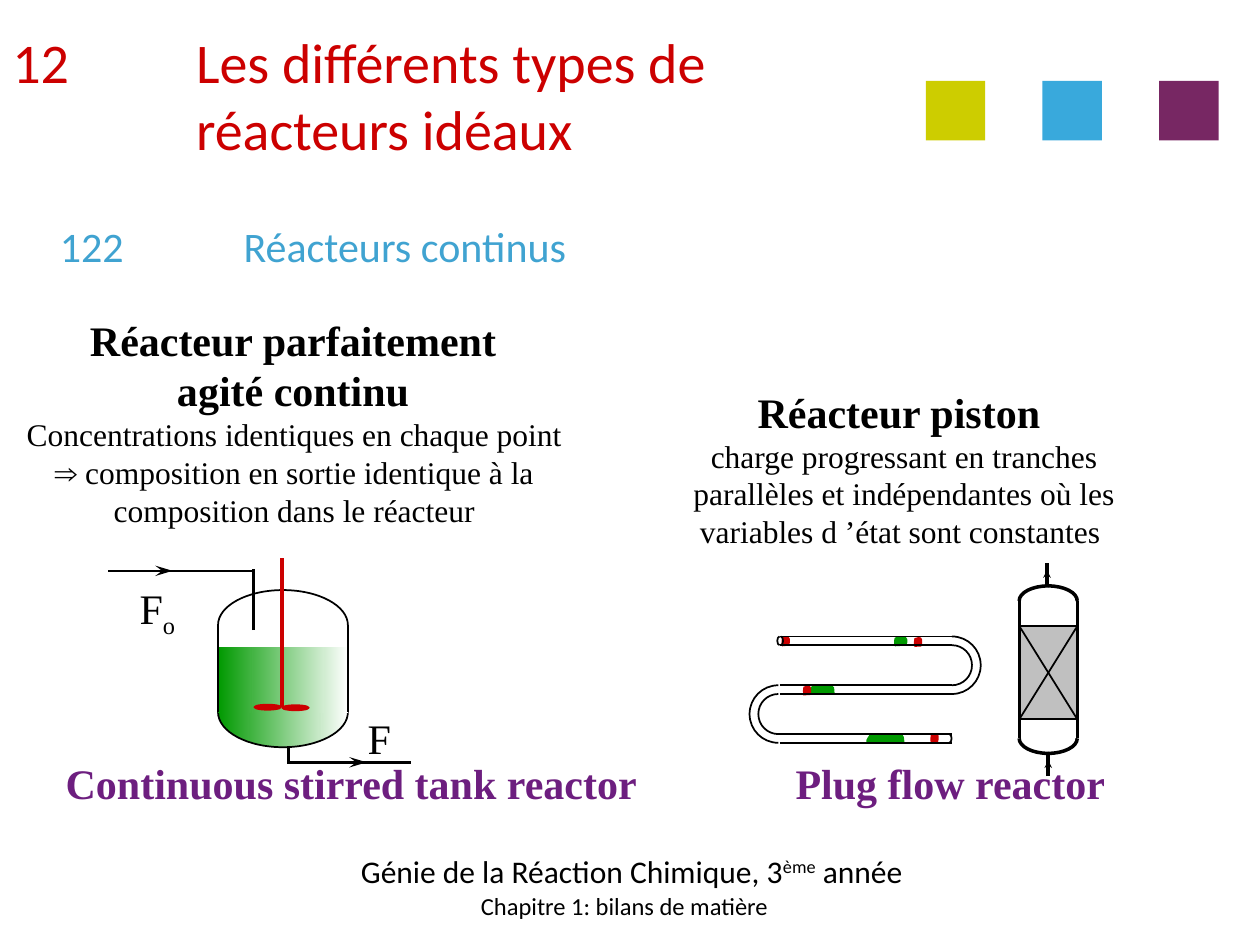
from math import cos, radians, sin, tan

from lxml.etree import SubElement
from pptx import Presentation
from pptx.dml.color import RGBColor
from pptx.enum.shapes import MSO_CONNECTOR, MSO_SHAPE
from pptx.enum.text import MSO_ANCHOR, MSO_AUTO_SIZE, PP_ALIGN
from pptx.oxml.ns import qn
from pptx.util import Pt

BLACK = RGBColor(0x00, 0x00, 0x00)
WHITE = RGBColor(0xFF, 0xFF, 0xFF)
RED = RGBColor(0xCC, 0x00, 0x00)
GREEN = RGBColor(0x00, 0x99, 0x00)
GREY = RGBColor(0xC0, 0xC0, 0xC0)
LIME = RGBColor(0xCD, 0xCD, 0x00)
BLUE = RGBColor(0x39, 0xA9, 0xDC)
SUBTITLE_BLUE = RGBColor(0x40, 0xA3, 0xD1)
PLUM = RGBColor(0x77, 0x27, 0x63)
PURPLE = RGBColor(0x6D, 0x1E, 0x7F)
SANS, SERIF = "Calibri", "Times New Roman"

# Cubic curves in a unit box: first point, then control, control, end.
SHORT_SLUG = [(.1, .2), (.05, .3), (0, .7), (.1, .9), (1, .8), (.7, 1), (.85, .6),
              (.92, .1), (.7, 0), (.1, .2)]
LONG_SLUG = [(.1, .3), (.08, .45), (0, .82), (.1, .91), (1, .91), (.49, .91), (.67, .82),
             (.65, 0), (.69, .18), (.1, .3)]


def add_text(paragraph, text, font=SERIF, size=24, color=BLACK, bold=False, baseline=0):
    """Append a run; baseline is the raise or drop in percent."""
    run = paragraph.add_run()
    run.text = text
    run.font.name, run.font.size, run.font.bold = font, Pt(size), bold
    run.font.color.rgb = color
    if baseline:
        run.font._element.set("baseline", str(baseline * 1000))


class Drawing:
    def __init__(self, slide):
        self.slide = slide
        self.shapes = slide.shapes

    def paint(self, shape, fill=None, line=None, width=1, gradient=False):
        shape.shadow.inherit = False
        if gradient:
            shape.fill.gradient()
            shape.fill.gradient_angle = 0
            for stop, color in zip(shape.fill.gradient_stops, (GREEN, WHITE)):
                stop.color.rgb = color
        elif fill is not None:
            shape.fill.solid()
            shape.fill.fore_color.rgb = fill
        else:
            shape.fill.background()
        if line is not None:
            shape.line.color.rgb = line
            shape.line.width = Pt(width)
        else:
            shape.line.fill.background()

    def preset(self, x, y, w, h, kind=MSO_SHAPE.RECTANGLE, **paint):
        self.paint(self.shapes.add_shape(kind, Pt(x), Pt(y), Pt(w), Pt(h)), **paint)

    def curve(self, nodes, close=False, **paint):
        """Cubic curves: a start, then control, control, end for each."""
        nodes = [(Pt(x), Pt(y)) for x, y in nodes]
        builder = self.shapes.build_freeform(*nodes[0])
        builder.add_line_segments(nodes[1:], close=close)
        shape = builder.convert_to_shape()
        segments = list(shape.element.iter(qn("a:lnTo")))
        for i in range(0, len(nodes) - 1, 3):
            first, *others = segments[i:i + 3]
            cubic = first.makeelement(qn("a:cubicBezTo"))
            first.addprevious(cubic)
            for segment in (first, *others):
                cubic.append(segment[0])
                segment.getparent().remove(segment)
        self.paint(shape, **paint)

    def arc(self, cx, cy, rx, ry, start, sweep, **paint):
        """Elliptic arc by quarters; angles in degrees, clockwise from the right."""
        handle = 4 / 3 * tan(radians(90) / 4)
        nodes = [(cos(radians(start)), sin(radians(start)))]
        for end in range(start + 90, start + sweep + 1, 90):
            x1, y1 = nodes[-1]
            x2, y2 = cos(radians(end)), sin(radians(end))
            nodes += [(x1 - handle * y1, y1 + handle * x1),
                      (x2 + handle * y2, y2 - handle * x2), (x2, y2)]
        self.curve([(cx + rx * u, cy + ry * v) for u, v in nodes], line=BLACK, **paint)

    def slug(self, x, y, w, h, color, profile):
        self.curve([(x + w * u, y + h * v) for u, v in profile], close=True, fill=color)

    def line(self, x1, y1, x2, y2, width=1, color=BLACK, arrow=None):
        """Straight line; arrow holds the width and length of its head."""
        connector = self.shapes.add_connector(
            MSO_CONNECTOR.STRAIGHT, Pt(x1), Pt(y1), Pt(x2), Pt(y2))
        connector.line.color.rgb = color
        connector.line.width = Pt(width)
        properties = connector.element.spPr
        if arrow:
            SubElement(properties.find(qn("a:ln")), qn("a:tailEnd"), type="stealth",
                       w=arrow[0], len=arrow[1])
        SubElement(properties, qn("a:effectLst"))

    def text(self, x, y, w, h, paragraphs, align=PP_ALIGN.CENTER, wrap=False,
             middle=False, hanging=None, bottom=3.6):
        """Each paragraph is a list of (text, format); hanging is a dict of number attributes."""
        frame = self.shapes.add_textbox(Pt(x), Pt(y), Pt(w), Pt(h)).text_frame
        frame.word_wrap = wrap
        frame.auto_size = MSO_AUTO_SIZE.NONE if middle else MSO_AUTO_SIZE.SHAPE_TO_FIT_TEXT
        frame.vertical_anchor = MSO_ANCHOR.MIDDLE if middle else MSO_ANCHOR.TOP
        frame.margin_bottom = Pt(bottom)
        for i, runs in enumerate(paragraphs):
            paragraph = frame.add_paragraph() if i else frame.paragraphs[0]
            paragraph.alignment = align
            if hanging is not None:
                self.hang(paragraph, hanging)
            for text, style in runs:
                add_text(paragraph, text, **style)
        return frame

    def hang(self, paragraph, number):
        properties = paragraph._p.get_or_add_pPr()
        properties.set("marL", str(Pt(105)))
        properties.set("indent", str(Pt(-105)))
        if number:
            SubElement(properties, qn("a:buAutoNum"), **number)
        else:
            SubElement(properties, qn("a:buNone"))
        tabs = SubElement(properties, qn("a:tabLst"))
        SubElement(tabs, qn("a:tab"), pos=str(Pt(60)), algn="l")


def draw_frame(d):
    footer = {"font": SANS, "size": 18}
    d.text(198, 479.5, 330, 36, [[("Génie de la Réaction Chimique, 3", footer),
                                  ("ème", {**footer, "baseline": 30}),
                                  (" année ", footer)]], middle=True)
    d.text(283.5, 499.7, 150, 36, [[("Chapitre 1: bilans de matière ",
                                     {"font": SANS, "size": 14})]], middle=True)
    for i, color in enumerate((LIME, BLUE, PLUM)):
        d.preset(529 + 66.7 * i, 46.2, 34, 34, fill=color)
    d.text(0, 9, 529, 90, [[("Les différents types de \tréacteurs idéaux",
                             {"font": SANS, "size": 32, "color": RED})]],
           PP_ALIGN.LEFT, wrap=True, middle=True,
           hanging={"type": "arabicPlain", "startAt": "12"})
    d.text(27.2, 111.6, 314.6, 90, [[("122\tRéacteurs continus",
                                      {"font": SANS, "color": SUBTITLE_BLUE})]],
           PP_ALIGN.LEFT, wrap=True, middle=True, hanging={}, bottom=36)


def draw_tank(d):
    center, left, right, radius = 161.7, 124.6, 198.8, 37.1
    d.preset(186.5, 375.1, 155.5, 23, fill=WHITE)
    d.arc(center, 407, radius, 20, 0, 180, gradient=True)
    d.preset(left, 369.8, 2 * radius, 37.4, gradient=True)
    d.arc(center, 357.2, radius, 20, 180, 180)
    for wall in (left, right):
        d.line(wall, 357, wall, 407)
    d.line(161.3, 319, 161.3, 404, 2, RED)
    for x, y in ((145.4, 402.7), (161.3, 403)):
        d.preset(x, y, 15.1, 2.9, MSO_SHAPE.OVAL, fill=RED, line=RED)
    for pipe in ((61.9, 326.2, 145.4, 326.2), (144.9, 360, 144.9, 325.4),
                 (164.9, 426.2, 164.9, 435.6), (164.2, 435.6, 234.7, 435.6)):
        d.line(*pipe, 1.5)
    for x, y in ((69.1, 326.2), (180, 435.6)):
        d.line(x, y, x + 29.5, y, 1.5, arrow=("med", "lg"))
    d.text(72.7, 329.3, 36, 36, [[("F", {}), ("o", {"baseline": -25})]], PP_ALIGN.LEFT)
    d.text(203, 403.5, 28, 36, [[("F", {})]], PP_ALIGN.LEFT)


def draw_column(d):
    left, right, center = 582.5, 615.6, 599
    bed_top, bed_bottom = 357.8, 411
    d.preset(left, bed_top, right - left, bed_bottom - bed_top, fill=GREY, line=BLACK)
    d.line(left, bed_top, right, bed_bottom)
    d.line(right, bed_top, left, bed_bottom)
    for start in (180, 270, 0, 90):
        d.arc(center, 343.4 if start >= 180 else 421.9, 16.6, 8.6, start, 90, width=2)
    for wall in (left, right):
        d.line(wall, 343.4, wall, 421.9, 2)
    for x, bottom, top in ((598.3, 334.8, 321.8), (center, 443.5, 431.3)):
        d.line(x, bottom, x, top, 2.25)
        d.line(x, bottom - 1.8, x, bottom - 9, 2.25, arrow=("sm", "sm"))


def draw_tube(d):
    left, right, top, pitch, bore = 445.5, 544, 363.7, 27.9, 5
    rows = [top + pitch * i for i in range(3)]
    for x, y, w in ((493.2, 417.8, 35.3), (461.5, 389.8, 23)):
        d.slug(x, y, w, 7.9, GREEN, LONG_SLUG)
    d.slug(510.5, 362.9, 9.4, 7.2, GREEN, SHORT_SLUG)
    for x, y in ((531.4, 418.3), (458.6, 391), (522, 363.3), (446.4, 362.9)):
        d.slug(x, y, 5.8, 7.2, RED, SHORT_SLUG)
    for y in rows:
        for side in (y, y + bore):
            d.line(left, side, right, side)
    d.line(left - 2, rows[2], left, rows[2])
    outer = (pitch + bore) / 2
    for x, y, starts in ((right, rows[0], (270, 0)), (left - .7, rows[1], (90, 180))):
        for radius in (outer, outer - bore):
            for start in starts:
                d.arc(x, y + outer, radius, radius, start, 90)
    for x, y, start in ((left, rows[0], 90), (left + .7, rows[0], 270),
                        (right - 1.5, rows[2], 270)):
        d.arc(x, y + bore / 2, 1.3, bore / 2, start, 180)


def draw_captions(d):
    heading, body = {"bold": True}, {"size": 18}
    d.text(8.1, 176.2, 324.7, 129.6, [
        [("Réacteur parfaitement ", heading)],
        [("agité continu ", heading)],
        [("Concentrations identiques en chaque point ", body)],
        [("⇒ composition en sortie identique à la ", body)],
        [("composition dans le réacteur ", body)]])
    piston = d.text(387.6, 217.2, 264.2, 100.8, [
        [("Réacteur piston ", heading)],
        [("charge progressant en tranches parallèles et indépendantes où les "
          "variables d\u00a0’état sont constantes ".replace("\u00a0", " "), body)]], wrap=True)
    piston.paragraphs[0]._p.get_or_add_pPr().set("marR", str(Pt(6)))
    for x, w, name in ((29.6, 347.8, "Continuous stirred tank reactor "),
                       (447.2, 197.3, "Plug flow reactor ")):
        d.text(x, 429.1, w, 36, [[(name, {"bold": True, "color": PURPLE})]])


def main():
    deck = Presentation()
    deck.slide_width, deck.slide_height = Pt(720), Pt(540)
    drawing = Drawing(deck.slides.add_slide(deck.slide_layouts[6]))
    for draw in (draw_frame, draw_tank, draw_column, draw_tube, draw_captions):
        draw(drawing)
    deck.save("out.pptx")


if __name__ == "__main__":
    main()
